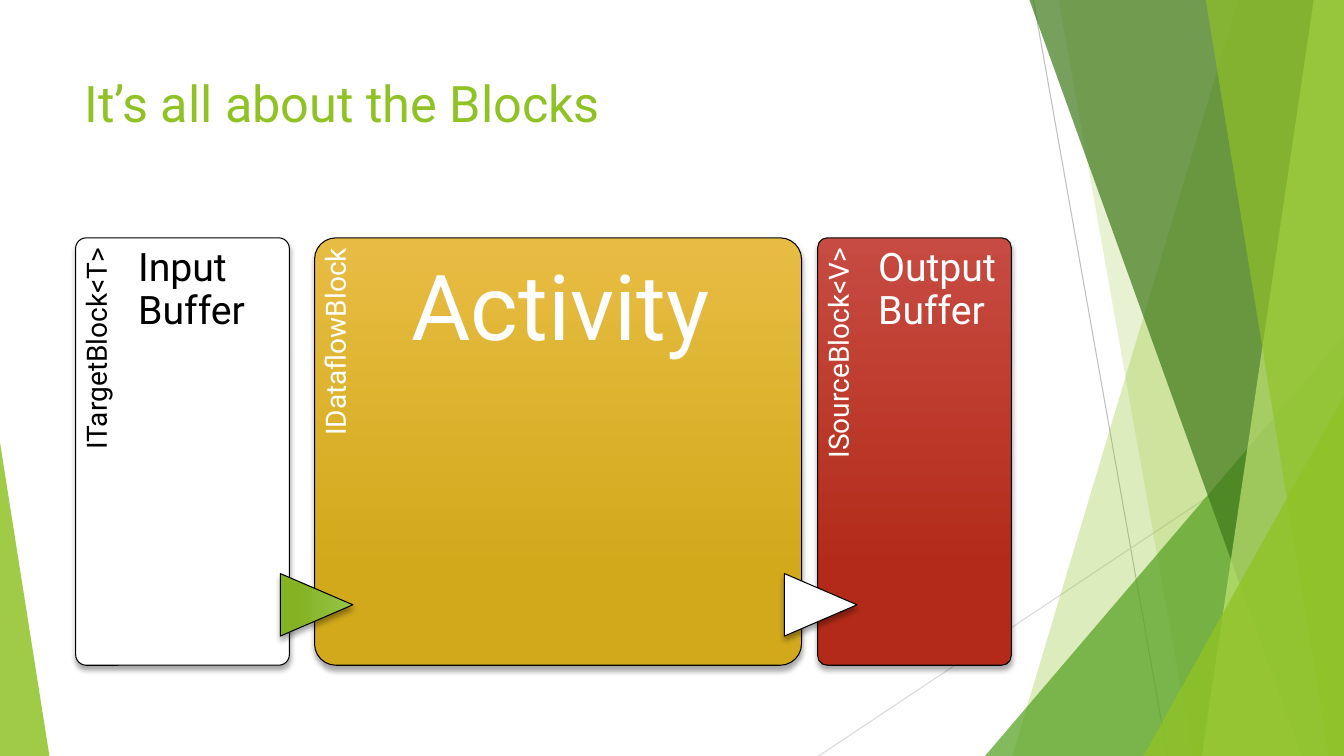
"""Build a slide that shows the three parts of a dataflow block."""
from lxml.etree import SubElement
from pptx import Presentation
from pptx.dml.color import RGBColor
from pptx.enum.shapes import MSO_CONNECTOR, MSO_SHAPE as Shape
from pptx.enum.text import MSO_ANCHOR, PP_ALIGN as Align
from pptx.oxml.ns import qn
from pptx.util import Inches, Pt

WIDTH, HEIGHT = 13.33, 7.5
FONT = "Roboto"
WHITE = RGBColor(0xFF, 0xFF, 0xFF)
BLACK = RGBColor(0, 0, 0)
LIME = RGBColor(0x90, 0xC2, 0x26)
LEAF = RGBColor(0x54, 0xA0, 0x21)
FOREST = RGBColor(0x3F, 0x78, 0x19)
PALE_LIME = RGBColor(0xC0, 0xE4, 0x74)
SILVER = RGBColor(0xBF, 0xBF, 0xBF)
LIGHT_GREY = RGBColor(0xD9, 0xD9, 0xD9)
GOLD = (RGBColor(0xE7, 0xBC, 0x43), RGBColor(0xD2, 0xA9, 0x1B))
RED = (RGBColor(0xC7, 0x4B, 0x42), RGBColor(0xB3, 0x2B, 0x18))
GREEN = (RGBColor(0x97, 0xC5, 0x47), RGBColor(0x84, 0xB2, 0x23))

TITLE = "It’s all about the Blocks"
RAYS = [
    ((10.25, 0), (11.58, HEIGHT), SILVER),
    ((WIDTH, 4.03), (8.12, HEIGHT), LIGHT_GREY),
]
FACETS = [
    ("band", 12.28, 10.04, LIME, 30),
    ("band", 10.5, 11.83, LIME, 20),
    ("corner", 9.77, 3.33, LEAF, 72),
    ("band", 10.21, 12.91, FOREST, 70),
    ("band", 13.03, 11.92, PALE_LIME, 70),
    ("band", 11.96, 13.18, LIME, 65),
    ("corner", 11.34, 3.93, LIME, 80),
]
CARDS = [
    (0.75, 2.12, WHITE, BLACK, "ITargetBlock<T>", "Input Buffer", 28, (0.62, 1.58, 0.1)),
    (3.12, 4.83, GOLD, WHITE, "IDataflowBlock", "Activity", 65, (0.96, 3.6, 0.24)),
    (8.11, 1.92, RED, WHITE, "ISourceBlock<V>", "Output Buffer", 28, (0.6, 1.43, 0.1)),
]
ARROWS = [(2.83, GREEN), (7.83, WHITE)]
CARD_TOP, CARD_HEIGHT = 2.36, 4.24
LABEL_LENGTH, LABEL_HEIGHT = 3.48, 0.42
ARROW_TOP, ARROW_WIDTH, ARROW_HEIGHT = 5.64, 0.62, 0.72


def inches(*values):
    return [Inches(value) for value in values]


def paint_facet(shape, color, opacity):
    shape.shadow.inherit = False
    shape.line.fill.background()
    shape.fill.solid()
    shape.fill.fore_color.rgb = color
    color_node = shape._element.spPr.find(qn("a:solidFill"))[0]
    SubElement(color_node, qn("a:alpha"), val=str(opacity * 1000))


def add_triangle(shapes, left, top, width, apex, color, opacity):
    corner = shapes.add_shape(
        Shape.ISOSCELES_TRIANGLE, *inches(left, top, width, HEIGHT - top))
    corner.adjustments[0] = apex
    paint_facet(corner, color, opacity)


def add_backdrop(shapes):
    for start, end, color in RAYS:
        ray = shapes.add_connector(MSO_CONNECTOR.STRAIGHT, *inches(*start, *end))
        ray.line.color.rgb = color
        ray.line.width = Pt(0.75)
        SubElement(ray._element.spPr, qn("a:effectLst"))
    for kind, first, second, color, opacity in FACETS:
        if kind == "corner":
            add_triangle(shapes, first, second, WIDTH - first, 1, color, opacity)
            continue
        builder = shapes.build_freeform(*inches(first, 0))
        outline = [(WIDTH, 0), (WIDTH, HEIGHT), (second, HEIGHT)]
        builder.add_line_segments([inches(*point) for point in outline], close=True)
        paint_facet(builder.convert_to_shape(), color, opacity)
    add_triangle(shapes, 0, 4.39, 0.49, 0, LIME, 85)


def paint_block(shape, paint):
    if isinstance(paint, RGBColor):
        shape.fill.solid()
        shape.fill.fore_color.rgb = paint
    else:
        shape.fill.gradient()
        shape.fill.gradient_angle = 270
        for stop, position, color in zip(shape.fill.gradient_stops, (0, 0.78), paint):
            stop.position = position
            stop.color.rgb = color
    shape.line.color.rgb = BLACK
    shape.line.width = Pt(0.75)
    shape.shadow.inherit = False
    effects = shape._element.spPr.find(qn("a:effectLst"))
    shadow = SubElement(effects, qn("a:outerShdw"), blurRad=str(Pt(4)),
                        dist=str(Pt(3)), dir="5400000", rotWithShape="0")
    tint = SubElement(shadow, qn("a:srgbClr"), val=str(BLACK))
    SubElement(tint, qn("a:alpha"), val="35000")


def style_text(frame, text, size, color, align=Align.LEFT):
    frame.text = text
    frame.word_wrap = True
    frame.vertical_anchor = MSO_ANCHOR.TOP
    para = frame.paragraphs[0]
    para.alignment = align
    font = para.runs[0].font
    font.name, font.size, font.color.rgb = FONT, Pt(size), color
    return para


def add_label(shapes, place, margins, text, size, color, align=Align.LEFT):
    box = shapes.add_textbox(*inches(*place))
    frame = box.text_frame
    (frame.margin_left, frame.margin_top,
     frame.margin_right, frame.margin_bottom) = inches(*margins)
    style_text(frame, text, size, color, align).line_spacing = 0.9
    return box


def add_card(shapes, left, width, paint, ink, interface, name, size, name_place):
    card = shapes.add_shape(
        Shape.ROUNDED_RECTANGLE, *inches(left, CARD_TOP, width, CARD_HEIGHT))
    card.adjustments[0] = 0.05
    paint_block(card, paint)
    side_left = left + (LABEL_HEIGHT - LABEL_LENGTH) / 2
    side_top = CARD_TOP + (LABEL_LENGTH - LABEL_HEIGHT) / 2
    side = add_label(shapes, (side_left, side_top, LABEL_LENGTH, LABEL_HEIGHT),
                     (0, 0.07, 0.1, 0), interface, 20, ink, Align.RIGHT)
    side.rotation = 270
    offset, name_width, inset = name_place
    add_label(shapes, (left + offset, CARD_TOP, name_width, CARD_HEIGHT),
              (0, inset, 0, 0), name, size, ink)


def main():
    deck = Presentation()
    deck.slide_width, deck.slide_height = inches(WIDTH, HEIGHT)
    page = deck.slides.add_slide(deck.slide_layouts[5])
    shapes = page.shapes
    title = shapes.title
    title.left, title.top, title.width, title.height = inches(0.74, 0.67, 9.4, 1.44)
    style_text(title.text_frame, TITLE, 36, LIME)
    add_backdrop(shapes)
    for card in CARDS:
        add_card(shapes, *card)
    for left, paint in ARROWS:
        arrow = shapes.add_shape(
            Shape.FLOWCHART_EXTRACT, *inches(left, ARROW_TOP, ARROW_WIDTH, ARROW_HEIGHT))
        arrow.rotation = 90
        paint_block(arrow, paint)
    deck.save("out.pptx")


if __name__ == "__main__":
    main()
